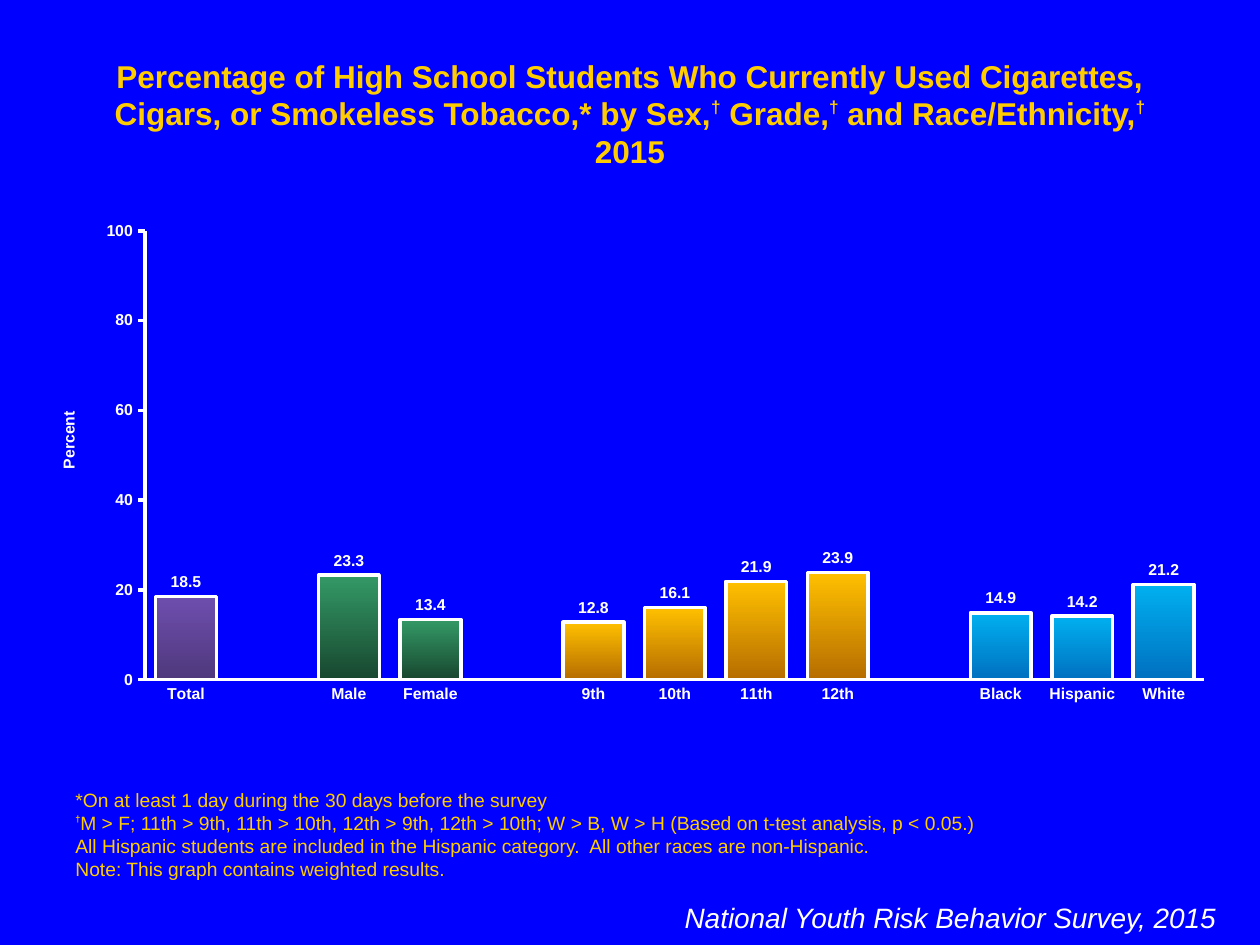
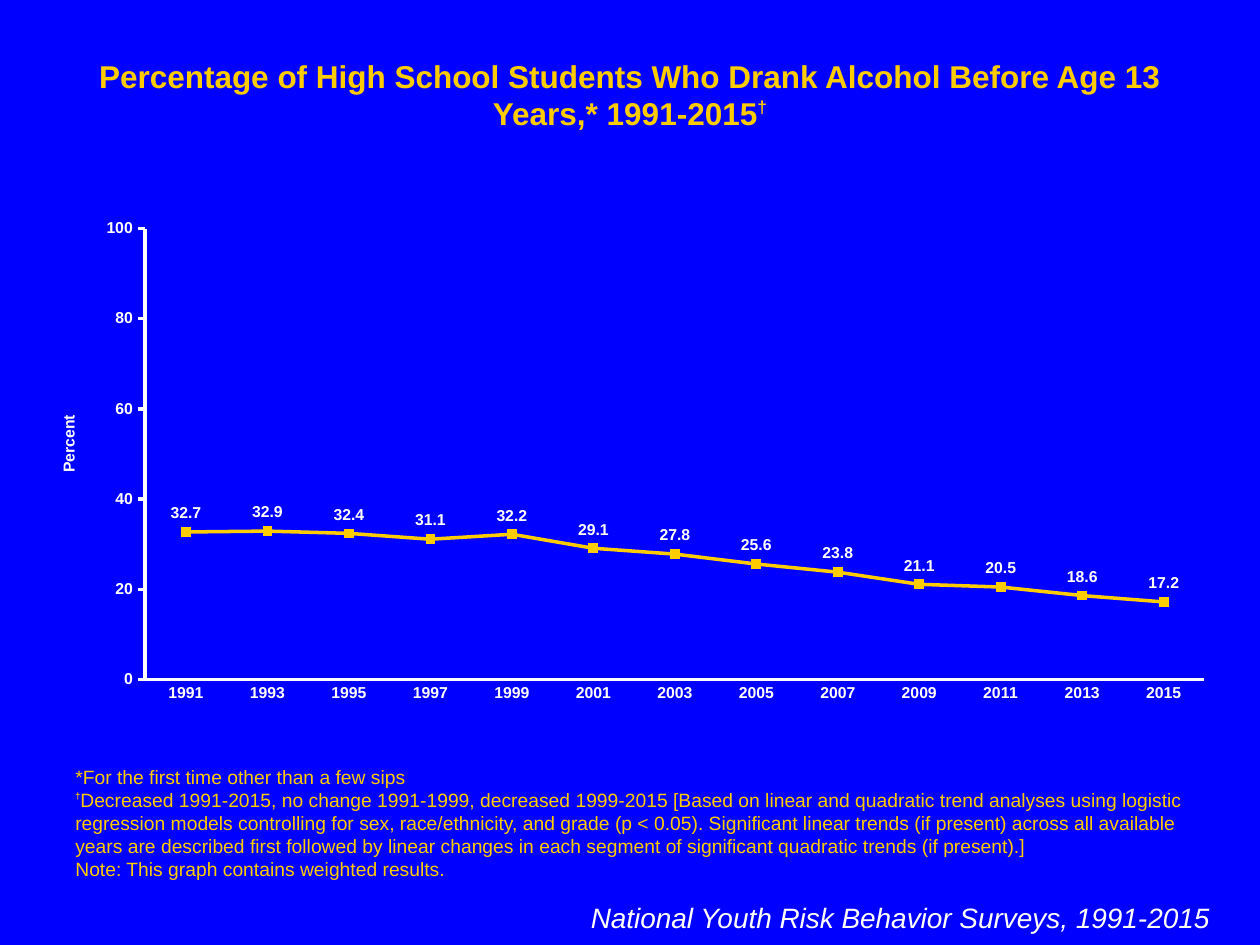
import lxml.etree
import pptx
import pptx.chart.data
import pptx.dml.color
import pptx.enum.chart
import pptx.enum.text
import pptx.oxml.ns
import pptx.util

Pt = pptx.util.Pt
RGB = pptx.dml.color.RGBColor.from_string
XL = pptx.enum.chart
ALIGN = pptx.enum.text.PP_ALIGN
ANCHOR = pptx.enum.text.MSO_ANCHOR
qn = pptx.oxml.ns.qn

FONT = "Arial"
COLORS = {"back": "0000FF", "gold": "FFCC00", "white": "FFFFFF"}
GRADIENTS = {
    "total": ("6E4EAE", "4F387C"),
    "sex": ("339966", "18472F"),
    "grade": ("FFC000", "B66D00"),
    "race": ("00B0F0", "0070C0"),
}

prs = pptx.Presentation()
prs.slide_width = pptx.util.Inches(10)
prs.slide_height = pptx.util.Inches(7.5)

# Grid: 40 columns by 75 rows
COL, ROW = prs.slide_width / 40, prs.slide_height / 75
TITLE_BOX = (2, 4, 36, 4)
NOTES_BOX = (2, 67.5, 36, 2.9)

# Bars: label, value, group; an empty label leaves a gap between groups
BARS = [
    ("Total", 18.5, "total"), ("", None, None),
    ("Male", 23.3, "sex"), ("Female", 13.4, "sex"), ("", None, None),
    ("9th", 12.8, "grade"), ("10th", 16.1, "grade"),
    ("11th", 21.9, "grade"), ("12th", 23.9, "grade"), ("", None, None),
    ("Black", 14.9, "race"), ("Hispanic", 14.2, "race"), ("White", 21.2, "race"),
]

SLIDES = [
    {
        "title": "Percentage of High School Students Who Currently Used Cigarettes, Cigars, "
                 "or Smokeless Tobacco,* by Sex,† Grade,† and Race/Ethnicity,† 2015",
        "notes": [
            "*On at least 1 day during the 30 days before the survey",
            "†M > F; 11th > 9th, 11th > 10th, 12th > 9th, 12th > 10th; W > B, W > H "
            "(Based on t-test analysis, p < 0.05.)",
            "All Hispanic students are included in the Hispanic category.  "
            "All other races are non-Hispanic.",
            "Note: This graph contains weighted results.",
        ],
        "survey": "National Youth Risk Behavior Survey, 2015",
        "survey_box": (17, 71, 22, 3.7),
        "type": XL.XL_CHART_TYPE.COLUMN_CLUSTERED,
        "chart_box": (1, 16.9, 38, 39.8),
        "percent_y": 0.39,
        "cats": [label for label, value, group in BARS],
        "vals": [value for label, value, group in BARS],
    },
    {
        "title": "Percentage of High School Students Who Drank Alcohol Before Age 13 Years,* "
                 "1991-2015†",
        "notes": [
            "*For the first time other than a few sips",
            "†Decreased 1991-2015, no change 1991-1999, decreased 1999-2015 [Based on linear "
            "and quadratic trend analyses using logistic regression models controlling for sex, "
            "race/ethnicity, and grade (p < 0.05). Significant linear trends (if present) across "
            "all available years are described first followed by linear changes in each segment "
            "of significant quadratic trends (if present).]",
            "Note: This graph contains weighted results.",
        ],
        "survey": "National Youth Risk Behavior Surveys, 1991-2015",
        "survey_box": (18.12, 71, 20.68, 3.7),
        "type": XL.XL_CHART_TYPE.LINE_MARKERS,
        "chart_box": (1, 16.7, 38, 40),
        "percent_y": 0.4,
        "cats": [str(year) for year in range(1991, 2016, 2)],
        "vals": [32.7, 32.9, 32.4, 31.1, 32.2, 29.1, 27.8, 25.6, 23.8, 21.1, 20.5, 18.6, 17.2],
    },
]


def add_text(s, box, lines, size, color, align, anchor=ANCHOR.TOP,
             bold=False, italic=False, dagger=(17, 40000)):
    """Add a growing text box; each † becomes a raised bold run."""
    x, y, w, h = box
    tf = s.shapes.add_textbox(int(x * COL), int(y * ROW), int(w * COL), int(h * ROW)).text_frame
    tf.word_wrap = True
    tf.auto_size = pptx.enum.text.MSO_AUTO_SIZE.SHAPE_TO_FIT_TEXT
    tf.vertical_anchor = anchor
    for i, line in enumerate(lines):
        p = tf.add_paragraph() if i else tf.paragraphs[0]
        p.alignment = align
        for part in line.replace("†", "|†|").split("|"):
            if not part:
                continue
            r = p.add_run()
            r.text = part
            raised = part == "†"
            r.font.name, r.font.italic = FONT, italic
            r.font.bold = bold or raised
            r.font.size = Pt(dagger[0] if raised else size)
            r.font.color.rgb = RGB(COLORS[color])
            if raised:
                r.font._element.set("baseline", str(dagger[1]))


def set_layout(parent, index, **places):
    """Place a chart part by shares of the chart's size."""
    for old in parent.findall(qn("c:layout")):
        parent.remove(old)
    layout = lxml.etree.Element(qn("c:layout"))
    manual = lxml.etree.SubElement(layout, qn("c:manualLayout"))
    for name, value in places.items():
        lxml.etree.SubElement(manual, qn("c:" + name)).set("val", str(value))
    parent.insert(index, layout)


for page in SLIDES:
    s = prs.slides.add_slide(prs.slide_layouts[6])
    s.background.fill.solid()
    s.background.fill.fore_color.rgb = RGB(COLORS["back"])

    # Title, footnotes and survey name
    add_text(s, TITLE_BOX, [page["title"]], 18, "gold", ALIGN.CENTER, bold=True)
    add_text(s, NOTES_BOX, page["notes"], 11, "gold", ALIGN.LEFT, ANCHOR.BOTTOM,
             dagger=(9, 50000))
    add_text(s, page["survey_box"], [page["survey"]], 16, "white", ALIGN.RIGHT, italic=True)

    # Chart
    data = pptx.chart.data.CategoryChartData()
    data.categories = page["cats"]
    data.add_series("Series 1", page["vals"])
    x, y, w, h = page["chart_box"]
    chart = s.shapes.add_chart(page["type"], int(x * COL), int(y * ROW),
                               int(w * COL), int(h * ROW), data).chart
    chart.has_legend = False
    chart.has_title = False
    chart.font.name, chart.font.size = FONT, Pt(18)
    chart.font.color.rgb = RGB(COLORS["white"])
    set_layout(chart.element.find(".//" + qn("c:plotArea")), 0, layoutTarget="inner",
               xMode="edge", yMode="edge", x=0.095, y=0.036, w=0.885, h=0.895)

    # Axes
    cat, val = chart.category_axis, chart.value_axis
    for axis in (cat, val):
        axis.has_major_gridlines = False
        axis.major_tick_mark = axis.minor_tick_mark = XL.XL_TICK_MARK.NONE
        axis.format.line.color.rgb = RGB(COLORS["white"])
        axis.format.line.width = Pt(2)
    val.major_tick_mark = XL.XL_TICK_MARK.OUTSIDE
    val.minimum_scale, val.maximum_scale, val.major_unit = 0, 100, 20
    val.tick_labels.number_format = "#,##0"
    val.tick_labels.number_format_is_linked = False
    title = val.axis_title
    title.text_frame.text = "Percent"
    title.element.find(".//" + qn("a:bodyPr")).set("rot", "-5400000")
    set_layout(title.element, 1, xMode="edge", yMode="edge", x=0.02, y=page["percent_y"])

    # Value labels
    plot = chart.plots[0]
    plot.vary_by_categories = False
    plot.has_data_labels = True
    labels = plot.data_labels
    labels.show_value = True
    labels.number_format, labels.number_format_is_linked = "#,##0.0", False
    title_font = title.text_frame.paragraphs[0].runs[0].font
    for font in (cat.tick_labels.font, val.tick_labels.font, labels.font, title_font):
        font.name, font.size, font.bold = FONT, Pt(9), True
        font.color.rgb = RGB(COLORS["white"])

    # Bars or line
    series = plot.series[0]
    if page["type"] == XL.XL_CHART_TYPE.COLUMN_CLUSTERED:
        labels.position = XL.XL_LABEL_POSITION.OUTSIDE_END
        plot.gap_width, plot.overlap = 34, 100
        for i, (label, value, group) in enumerate(BARS):
            if not group:
                continue
            bar = series.points[i].format
            bar.fill.gradient()
            bar.fill.gradient_angle = 270
            for stop, color in zip(bar.fill.gradient_stops, GRADIENTS[group]):
                stop.color.rgb = RGB(color)
            bar.line.color.rgb = RGB(COLORS["white"])
            bar.line.width = Pt(2)
    else:
        labels.position = XL.XL_LABEL_POSITION.ABOVE
        series.smooth = False
        series.format.line.color.rgb = RGB(COLORS["gold"])
        series.format.line.width = Pt(2)
        series.marker.style = XL.XL_MARKER_STYLE.SQUARE
        series.marker.size = 5
        series.marker.format.fill.solid()
        series.marker.format.fill.fore_color.rgb = RGB(COLORS["gold"])
        series.marker.format.line.color.rgb = RGB(COLORS["gold"])

prs.save("out.pptx")
